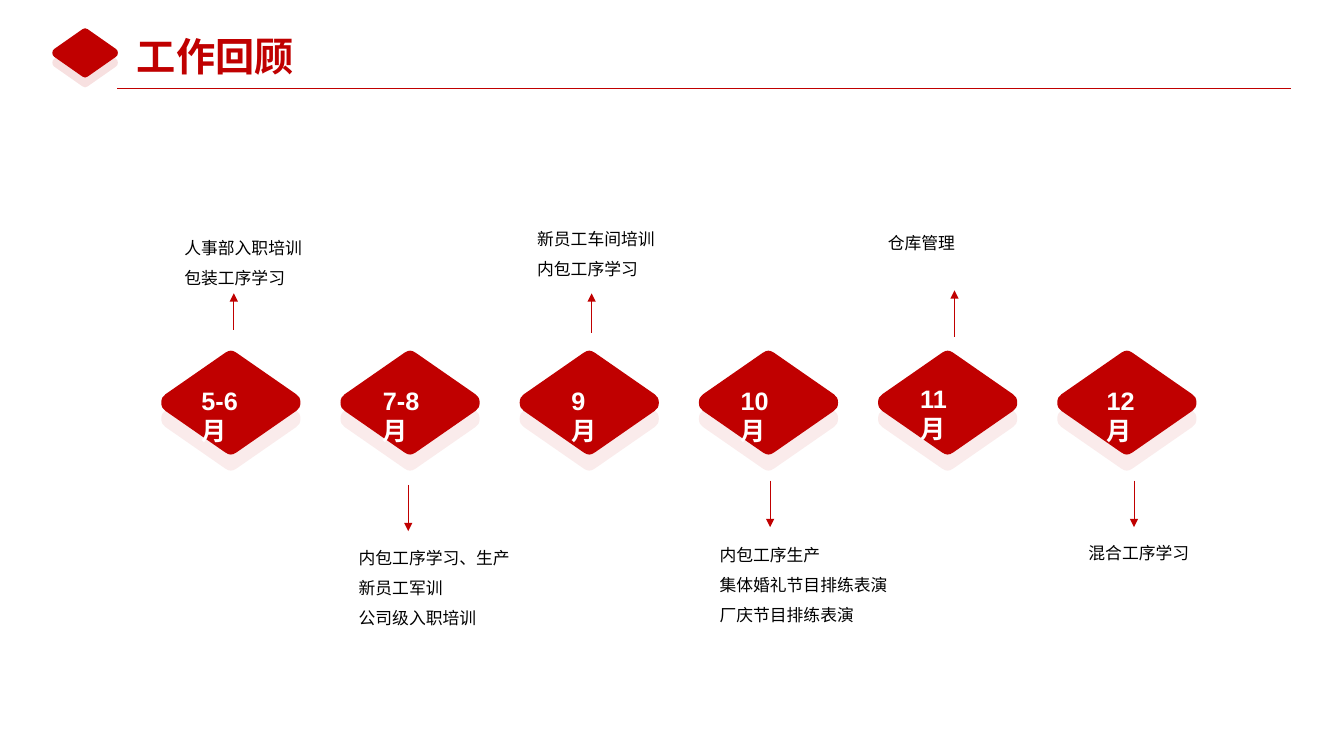
from dataclasses import dataclass
from pptx import Presentation
from pptx.dml.color import RGBColor as Color
from pptx.enum.shapes import MSO_CONNECTOR as Connector
from pptx.oxml.ns import qn
from pptx.util import Pt
from lxml.etree import SubElement


@dataclass(frozen=True)
class Theme:
    red: str = "C00000"
    white: str = "FFFFFF"
    black: str = "000000"
    heading_font: str = "Arial"
    cjk_font: str = "Noto Sans CJK SC"
    title_size: float = 28
    month_size: float = 18
    note_size: float = 12
    line_width: float = 0.5


@dataclass(frozen=True)
class Month:
    """One stop: label box, note box (left, top, height) and arrow (x, from, to)."""
    label: str
    label_box: tuple
    note_lines: tuple
    note_box: tuple
    arrow: tuple


MONTHS = (
    Month("5-6月", (136.8, 271.4, 59), ("人事部入职培训", "包装工序学习"),
          (124.6, 159.1, 94.3), (167, 235.4, 209.5)),
    Month("7-8月", (266.4, 271.4, 59), ("内包工序学习、生产", "新员工军训", "公司级入职培训"),
          (249.1, 380.2, 115.9), (291.6, 346.3, 379.4)),
    Month("9月", (401, 271.4, 42.5), ("新员工车间培训", "内包工序学习"),
          (376.6, 152.6, 41.8), (422.6, 237.6, 209.5)),
    Month("10月", (522, 271.4, 52.6), ("内包工序生产", "集体婚礼节目排练表演", "厂庆节目排练表演"),
          (506.9, 378, 72.7), (550.1, 343.4, 376.6)),
    Month("11月", (650.2, 270, 51.8), ("仓库管理",),
          (627.1, 155.5, 51.1), (681.8, 240.5, 207.4)),
    Month("12月", (783.4, 271.4, 52.6), ("混合工序学习",),
          (770.4, 376.6, 26.6), (810, 343.4, 376.6)),
)
FIRST_DIAMOND, DIAMOND_TOP, DIAMOND_STEP = 115.2, 250.5, 128
DIAMOND_SIZE, DIAMOND_DROP = (99.4, 74.2), 11.5
NOTE_WIDTH = 167

# Half-axes of 1: a curve (three points), a straight edge, another curve.
QUADRANT = ((1, 0), (1, 0.07), (0.98, 0.13), (0.94, 0.16),
            (0.08, 0.96), (0.05, 0.99), (0.02, 1), (0, 1))
CURVE_STARTS = (0, 4)


def diamond_outline():
    """Mirror the quadrant into a closed outline, each joint listed once."""
    upper = list(QUADRANT) + [(-x, y) for x, y in QUADRANT[-2::-1]]
    return upper + [(x, -y) for x, y in upper[-2::-1]]


def round_corners(shape):
    """Turn the control points of each quadrant into cubic curves."""
    edges = list(shape._element.iter(qn("a:lnTo")))
    for first in range(0, len(edges), len(QUADRANT) - 1):
        for start in CURVE_STARTS:
            curve, *others = edges[first + start:first + start + 3]
            curve.tag = qn("a:cubicBezTo")
            for edge in others:
                curve.append(edge[0])
                edge.getparent().remove(edge)


class SlideBuilder:
    def __init__(self, slide, theme):
        self.slide = slide
        self.theme = theme

    def diamond(self, left, top, size, opacity=100):
        width, height = size
        points = [(Pt(left + width * (1 + x) / 2), Pt(top + height * (1 - y) / 2))
                  for x, y in diamond_outline()]
        builder = self.slide.shapes.build_freeform(*points[0])
        builder.add_line_segments(points[1:], close=True)
        shape = builder.convert_to_shape()
        round_corners(shape)
        shape.shadow.inherit = False
        shape.line.fill.background()
        shape.fill.solid()
        shape.fill.fore_color.rgb = Color.from_string(self.theme.red)
        if opacity < 100:
            color = shape.fill._xPr.find(qn("a:solidFill"))[0]
            SubElement(color, qn("a:alpha"), val=str(opacity * 1000))

    def raised_diamond(self, left, top, size, drop, opacity):
        self.diamond(left, top + drop, size, opacity)
        self.diamond(left, top, size)

    def line(self, start, end, arrow=False):
        connector = self.slide.shapes.add_connector(
            Connector.STRAIGHT, *(Pt(value) for value in start + end))
        connector.line.color.rgb = Color.from_string(self.theme.red)
        connector.line.width = Pt(self.theme.line_width)
        if arrow:
            SubElement(connector.line._get_or_add_ln(), qn("a:tailEnd"), type="triangle")
        SubElement(connector._element.spPr, qn("a:effectLst"))

    def text(self, lines, area, font, size, color, bold=False, wrap=True, spacing=None):
        box = self.slide.shapes.add_textbox(*(Pt(value) for value in area))
        frame = box.text_frame
        frame.word_wrap = wrap
        frame.text = "\n".join(lines)
        for para in frame.paragraphs:
            if spacing:
                para.line_spacing = spacing
            for span in para.runs:
                span.font.name = font
                span.font.size = Pt(size)
                span.font.bold = bold
                span.font.color.rgb = Color.from_string(color)
                SubElement(span.font._element, qn("a:ea"), typeface=self.theme.cjk_font)
        return frame

    def title(self, words, area):
        theme = self.theme
        self.text([words], area, theme.heading_font, theme.title_size, theme.red,
                  bold=True, wrap=False)

    def month_label(self, words, area):
        """Label whose wide right margin sends the last character to a second line."""
        theme = self.theme
        frame = self.text([words], area, theme.heading_font, theme.month_size,
                          theme.white, bold=True)
        frame.margin_right = Pt(14)

    def note(self, lines, area):
        theme = self.theme
        self.text(lines, area, theme.cjk_font, theme.note_size, theme.black, spacing=1.5)


def main():
    deck = Presentation()
    deck.slide_width, deck.slide_height = Pt(960), Pt(540)
    page = SlideBuilder(deck.slides.add_slide(deck.slide_layouts[6]), Theme())

    page.raised_diamond(37.4, 20.2, (46.8, 35.2), drop=7, opacity=12)
    page.line((83.6, 63.3), (921.8, 63.3))
    page.title("工作回顾", (90.7, 19.4, 127.4, 41))

    for index, month in enumerate(MONTHS):
        page.raised_diamond(FIRST_DIAMOND + index * DIAMOND_STEP, DIAMOND_TOP,
                            DIAMOND_SIZE, DIAMOND_DROP, opacity=8)
        page.month_label(month.label, month.label_box + (28.8,))
        x, start, end = month.arrow
        page.line((x, start), (x, end), arrow=True)
        left, top, height = month.note_box
        page.note(month.note_lines, (left, top, NOTE_WIDTH, height))

    deck.save("out.pptx")


if __name__ == "__main__":
    main()
